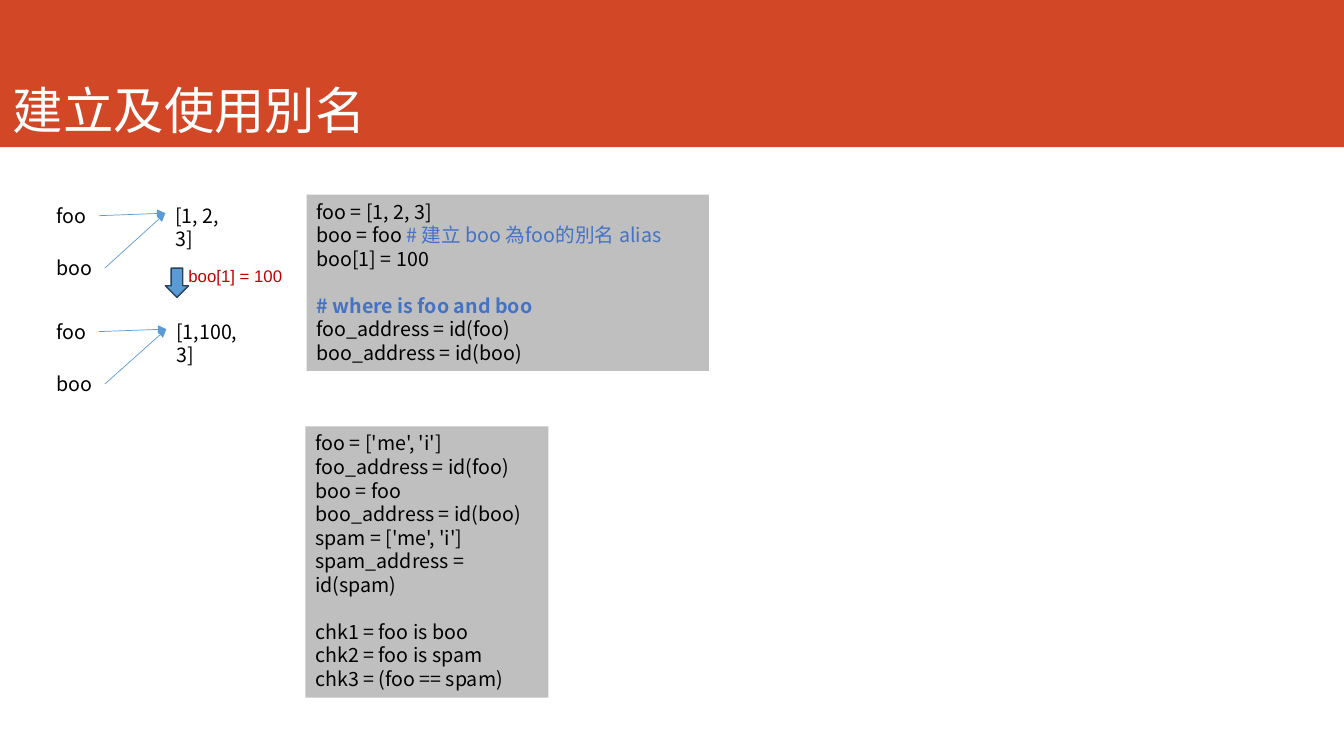
from dataclasses import dataclass

from lxml import etree
from pptx import Presentation
from pptx.dml.color import RGBColor
from pptx.enum.shapes import MSO_CONNECTOR as CONNECTOR, MSO_SHAPE as SHAPE
from pptx.enum.text import MSO_ANCHOR as ANCHOR, PP_ALIGN as ALIGN
from pptx.oxml.ns import qn
from pptx.shapes.autoshape import Shape
from pptx.slide import Slide
from pptx.util import Inches, Pt

COLORS = {
    "banner": "D24726", "white": "FFFFFF", "black": "000000",
    "code": "BFBFBF", "comment": "4472C4", "change": "C00000",
    "arrow": "5B9BD5", "arrow_edge": "28445D",
}
CJK = "Noto Sans CJK TC"
LINE_GAP = 16.8


@dataclass(frozen=True)
class Span:
    text: str
    color: str = "black"
    bold: bool = False
    size: float = 14
    font: str = CJK


@dataclass(frozen=True)
class Box:
    left: float
    top: float
    width: float
    height: float

    def lengths(self) -> list[Inches]:
        return [Inches(v) for v in (self.left, self.top, self.width, self.height)]


@dataclass(frozen=True)
class CodeBlock:
    """Code lines in sections, which a one-line gap keeps apart."""
    box: Box
    sections: list[list[list[Span]]]


@dataclass(frozen=True)
class AliasState:
    """Two names that point at one list."""
    top: float
    list_left: float
    list_width: float
    values: str


def rgb(name: str) -> RGBColor:
    return RGBColor.from_string(COLORS[name])


def add_spans(paragraph, spans: list[Span]) -> None:
    paragraph.alignment = ALIGN.LEFT
    for span in spans:
        run = paragraph.add_run()
        run.text = span.text
        run.font.color.rgb = rgb(span.color)
        formats = {"size": Pt(span.size), "bold": span.bold, "name": span.font}
        for key, value in formats.items():
            setattr(run.font, key, value)
        east_asian = etree.SubElement(run.font._element, qn("a:ea"))
        east_asian.set("typeface", span.font)


def add_label(slide: Slide, box: Box, span: Span, wrap: bool = True,
              anchor: ANCHOR = ANCHOR.TOP) -> Shape:
    label = slide.shapes.add_textbox(*box.lengths())
    formats = {"word_wrap": wrap, "vertical_anchor": anchor}
    for key, value in formats.items():
        setattr(label.text_frame, key, value)
    add_spans(label.text_frame.paragraphs[0], [span])
    return label


def add_filled(slide: Slide, kind: SHAPE, box: Box, fill: str) -> Shape:
    shape = slide.shapes.add_shape(kind, *box.lengths())
    shape.shadow.inherit = False
    shape.fill.solid()
    shape.fill.fore_color.rgb = rgb(fill)
    shape.line.fill.background()
    return shape


def add_code(slide: Slide, block: CodeBlock) -> None:
    panel = add_filled(slide, SHAPE.RECTANGLE, block.box, "code")
    frame = panel.text_frame
    frame.word_wrap = True
    frame.vertical_anchor = ANCHOR.TOP
    paragraph = frame.paragraphs[0]
    for section_no, section in enumerate(block.sections):
        for line_no, spans in enumerate(section):
            if section_no or line_no:
                paragraph = frame.add_paragraph()
            if section_no and not line_no:
                paragraph.space_before = Pt(LINE_GAP)
            add_spans(paragraph, spans)


def add_reference(slide: Slide, name: Shape, target: Shape) -> None:
    """Arrow from the right side of a name to the left side of its list."""
    arrow = slide.shapes.add_connector(CONNECTOR.STRAIGHT, 0, 0, 0, 0)
    arrow.begin_connect(name, 3)
    arrow.end_connect(target, 1)
    arrow.line.color.rgb = rgb("arrow")
    arrow.line.width = Pt(0.5)
    head = etree.SubElement(arrow.line._get_or_add_ln(), qn("a:tailEnd"))
    head.set("type", "triangle")
    etree.SubElement(arrow._element.spPr, qn("a:effectLst"))


def add_state(slide: Slide, state: AliasState) -> None:
    list_box = Box(state.list_left, state.top, state.list_width, 0.29)
    values = add_label(slide, list_box, Span(state.values))
    for name, offset, width in (("foo", 0, 0.52), ("boo", 0.52, 0.58)):
        name_box = Box(0.46, state.top + offset, width, 0.34)
        label = add_label(slide, name_box, Span(name), wrap=False)
        add_reference(slide, label, values)


def plain(*lines: str) -> list[list[Span]]:
    return [[Span(line)] for line in lines]


STATES = [
    AliasState(1.97, 1.64, 0.67, "[1, 2, 3]"),
    AliasState(3.12, 1.65, 0.82, "[1,100, 3]"),
]
CODE_BLOCKS = [
    CodeBlock(Box(3.04, 1.93, 3.99, 1.75), [
        [
            *plain("foo = [1, 2, 3]"),
            [Span("boo = foo "), Span("# 建立 boo 為foo的別名 alias", "comment")],
            *plain("boo[1] = 100"),
        ],
        [
            [Span("# where is foo and boo", "comment", bold=True)],
            *plain("foo_address = id(foo)", "boo_address = id(boo)"),
        ],
    ]),
    CodeBlock(Box(3.03, 4.23, 2.41, 2.69), [
        plain("foo = ['me', 'i']", "foo_address = id(foo)", "boo = foo",
              "boo_address = id(boo)", "spam = ['me', 'i']",
              "spam_address = id(spam)"),
        plain("chk1 = foo is boo", "chk2 = foo is spam", "chk3 = (foo == spam)"),
    ]),
]


def main() -> None:
    deck = Presentation()
    deck.slide_width, deck.slide_height = Inches(13.33), Inches(7.5)
    slide = deck.slides.add_slide(deck.slide_layouts[6])

    add_filled(slide, SHAPE.RECTANGLE, Box(0, 0, 13.33, 1.46), "banner")
    add_label(slide, Box(0.03, 0.11, 11.76, 1.32),
              Span("建立及使用別名", "white", size=36), anchor=ANCHOR.BOTTOM)

    for state in STATES:
        add_state(slide, state)

    change = add_filled(slide, SHAPE.DOWN_ARROW, Box(1.64, 2.66, 0.23, 0.29), "arrow")
    change.line.color.rgb = rgb("arrow_edge")
    change.line.width = Pt(1)
    add_label(slide, Box(1.77, 2.59, 1.25, 0.3),
              Span("boo[1] = 100", "change", size=12, font="Arial"))

    for block in CODE_BLOCKS:
        add_code(slide, block)

    deck.save("out.pptx")


if __name__ == "__main__":
    main()
